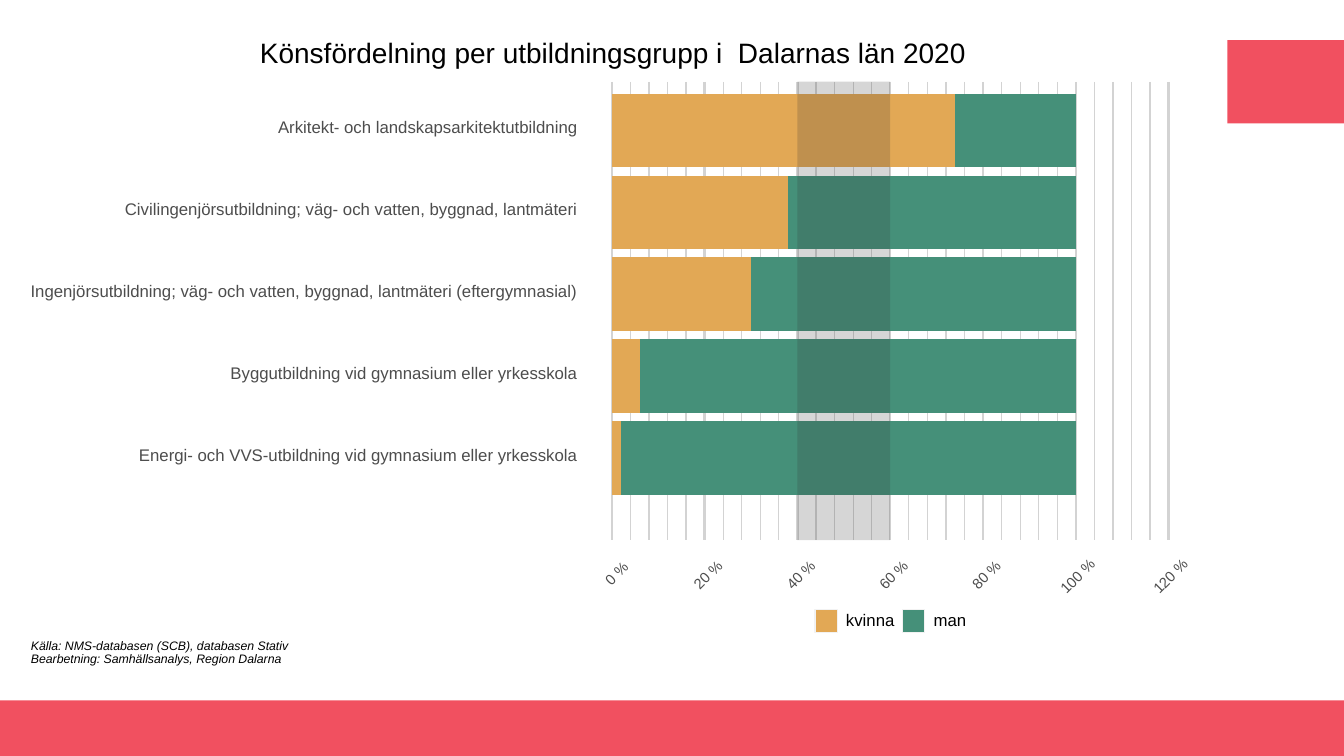
from lxml import etree
from pptx import Presentation
from pptx.chart.data import CategoryChartData
from pptx.dml.color import RGBColor
from pptx.enum.chart import XL_CHART_TYPE
from pptx.enum.shapes import MSO_CONNECTOR, MSO_SHAPE
from pptx.enum.text import MSO_ANCHOR, PP_ALIGN
from pptx.oxml import parse_xml
from pptx.oxml.ns import nsdecls, qn
from pptx.util import Cm, Pt

BAR_STACKED = XL_CHART_TYPE.BAR_STACKED
STRAIGHT = MSO_CONNECTOR.STRAIGHT
RECTANGLE = MSO_SHAPE.RECTANGLE
MIDDLE = MSO_ANCHOR.MIDDLE
LEFT, RIGHT = PP_ALIGN.LEFT, PP_ALIGN.RIGHT

TITLE = "Könsfördelning per utbildningsgrupp i  Dalarnas län 2020"
SOURCES = [
    "Källa: NMS-databasen (SCB), databasen Stativ",
    "Bearbetning: Samhällsanalys, Region Dalarna",
]
WOMEN_PERCENT = {
    "Arkitekt- och landskapsarkitektutbildning": 74,
    "Civilingenjörsutbildning; väg- och vatten, byggnad, lantmäteri": 38,
    "Ingenjörsutbildning; väg- och vatten, byggnad, lantmäteri (eftergymnasial)": 30,
    "Byggutbildning vid gymnasium eller yrkesskola": 6,
    "Energi- och VVS-utbildning vid gymnasium eller yrkesskola": 2,
}
SERIES = {
    "kvinna": list(WOMEN_PERCENT.values()),
    "man": [100 - women for women in WOMEN_PERCENT.values()],
}
COLORS = {
    "kvinna": "E2A855", "man": "459079", "accent": "F15060", "grid": "D3D3D3",
    "band": "333333", "label": "4D4D4D", "text": "000000", "swatch edge": "F2F2F2",
}
FONT = "Arial"

# Lengths in centimetres, axis steps in percent
SLIDE_WIDTH, SLIDE_HEIGHT = 33.87, 19.05
AXIS_LEFT, AXIS_WIDTH, AXIS_MAX = 15.42, 14.03, 120
MAJOR_STEP, MINOR_STEP = 20, 4
GRID_TOP, GRID_HEIGHT = 2.06, 11.55
BARS_TOP, BARS_HEIGHT = 2.26, 10.32
BAND = (40, 60)
LABEL_HEIGHT = 0.6
LEGEND_LEFT, LEGEND_TOP, LEGEND_STEP, SWATCH = 20.54, 15.37, 2.21, 0.56


def color(name):
    """Return the named colour."""
    return RGBColor.from_string(COLORS[name])


def axis_x(percent):
    """Return the horizontal place of a percentage."""
    return AXIS_LEFT + AXIS_WIDTH * percent / AXIS_MAX


def add_block(left, top, width, height, fill):
    """Add a plain filled rectangle."""
    block = slide.shapes.add_shape(RECTANGLE, Cm(left), Cm(top), Cm(width), Cm(height))
    block.shadow.inherit = False
    block.fill.solid()
    block.fill.fore_color.rgb = color(fill)
    block.line.fill.background()
    return block


def add_text(lines, left, middle, width, size, ink="text", align=LEFT, height=LABEL_HEIGHT):
    """Add text centred vertically on the height called middle."""
    box = slide.shapes.add_textbox(Cm(left), Cm(middle - height / 2), Cm(width), Cm(height))
    frame = box.text_frame
    frame.word_wrap = True
    frame.vertical_anchor = MIDDLE
    frame.margin_left = frame.margin_right = frame.margin_top = frame.margin_bottom = 0
    frame.text = "\n".join(lines)
    for paragraph in frame.paragraphs:
        paragraph.alignment = align
        paragraph.font.name = FONT
        paragraph.font.size = Pt(size)
        paragraph.font.color.rgb = color(ink)
    return box


def add_gridline(percent):
    """Add a vertical gridline, thicker at the major steps."""
    x = Cm(axis_x(percent))
    line = slide.shapes.add_connector(STRAIGHT, x, Cm(GRID_TOP), x, Cm(GRID_TOP + GRID_HEIGHT))
    line.line.color.rgb = color("grid")
    line.line.width = Pt(0.85 if percent % MAJOR_STEP else 1.71)
    etree.SubElement(line._element.spPr, qn("a:effectLst"))


def clear_background():
    """Return chart properties without fill or outline."""
    return parse_xml(f'<c:spPr {nsdecls("c", "a")}><a:noFill/><a:ln><a:noFill/></a:ln></c:spPr>')


def fill_frame(chart):
    """Let the plot fill its whole frame on a clear background."""
    plot_area = chart._chartSpace.chart.plotArea
    for layout in plot_area.findall(qn("c:layout")):
        plot_area.remove(layout)
    settings = (("layoutTarget", "inner"), ("xMode", "edge"), ("yMode", "edge"),
                ("x", 0), ("y", 0), ("w", 1), ("h", 1))
    values = "".join(f'<c:{tag} val="{value}"/>' for tag, value in settings)
    plot_area.insert(0, parse_xml(
        f'<c:layout {nsdecls("c")}><c:manualLayout>{values}</c:manualLayout></c:layout>'))
    plot_area.append(clear_background())
    chart._chartSpace.chart.addnext(clear_background())


def add_bars():
    """Add the stacked bars of women and men."""
    data = CategoryChartData(number_format="0")
    data.categories = list(WOMEN_PERCENT)
    for name, values in SERIES.items():
        data.add_series(name, values)
    chart = slide.shapes.add_chart(
        BAR_STACKED, Cm(AXIS_LEFT), Cm(BARS_TOP), Cm(AXIS_WIDTH), Cm(BARS_HEIGHT), data).chart
    chart.has_title = False
    chart.has_legend = False
    chart.font.name = FONT
    chart.font.size = Pt(12)
    chart.font.color.rgb = color("label")
    chart.category_axis.reverse_order = True
    chart.category_axis.visible = False
    axis = chart.value_axis
    axis.minimum_scale, axis.maximum_scale, axis.major_unit = 0, AXIS_MAX, MAJOR_STEP
    axis.has_major_gridlines = False
    axis.visible = False
    plot = chart.plots[0]
    plot.gap_width, plot.overlap, plot.vary_by_categories = 11, 100, False
    for series in plot.series:
        series.format.fill.solid()
        series.format.fill.fore_color.rgb = color(series.name)
    fill_frame(chart)


def add_band():
    """Add the translucent band that marks an even share."""
    start, end = map(axis_x, BAND)
    band = add_block(start, GRID_TOP, end - start, GRID_HEIGHT, "band")
    fill_color = band._element.spPr.find(qn("a:solidFill"))[0]
    etree.SubElement(fill_color, qn("a:alpha"), val="20000")


def add_axis_labels():
    """Label the bars and the major percentages."""
    pitch = BARS_HEIGHT / len(WOMEN_PERCENT)
    for row, name in enumerate(WOMEN_PERCENT):
        add_text([name], 0.26, BARS_TOP + pitch * (row + 0.5) - 0.09, 14.3, 12, "label", RIGHT)
    for percent in range(0, AXIS_MAX + 1, MAJOR_STEP):
        caption = f"{percent} %"
        width = 0.56 + 0.1 * len(caption)
        label = add_text([caption], axis_x(percent) + 0.03 - width / 2, 14.52,
                         width, 10.5, "label", RIGHT)
        label.rotation = 315


def add_legend():
    """Add one swatch and name per series."""
    for index, name in enumerate(SERIES):
        left = LEGEND_LEFT + index * LEGEND_STEP
        swatch = add_block(left, LEGEND_TOP, SWATCH, SWATCH, name)
        swatch.line.color.rgb = color("swatch edge")
        swatch.line.width = Pt(0.75)
        add_text([name], left + 0.78, LEGEND_TOP + SWATCH / 2 - 0.02, 1.4, 12)


presentation = Presentation()
presentation.slide_width, presentation.slide_height = Cm(SLIDE_WIDTH), Cm(SLIDE_HEIGHT)
slide = presentation.slides.add_slide(presentation.slide_layouts[6])

add_block(0, 17.65, SLIDE_WIDTH, 1.4, "accent")
add_block(30.93, 1.01, 2.94, 2.1, "accent")
for percent in range(0, AXIS_MAX + 1, MINOR_STEP):
    add_gridline(percent)
add_bars()
add_band()
add_axis_labels()
add_legend()
add_text([TITLE], 6.55, 1.32, 18, 20, height=0.9)
source_note = add_text(SOURCES, 0.78, 16.45, 8, 8.8, height=0.7)
for paragraph in source_note.text_frame.paragraphs:
    paragraph.font.italic = True
    paragraph.line_spacing = Pt(9.4)

presentation.save("out.pptx")
